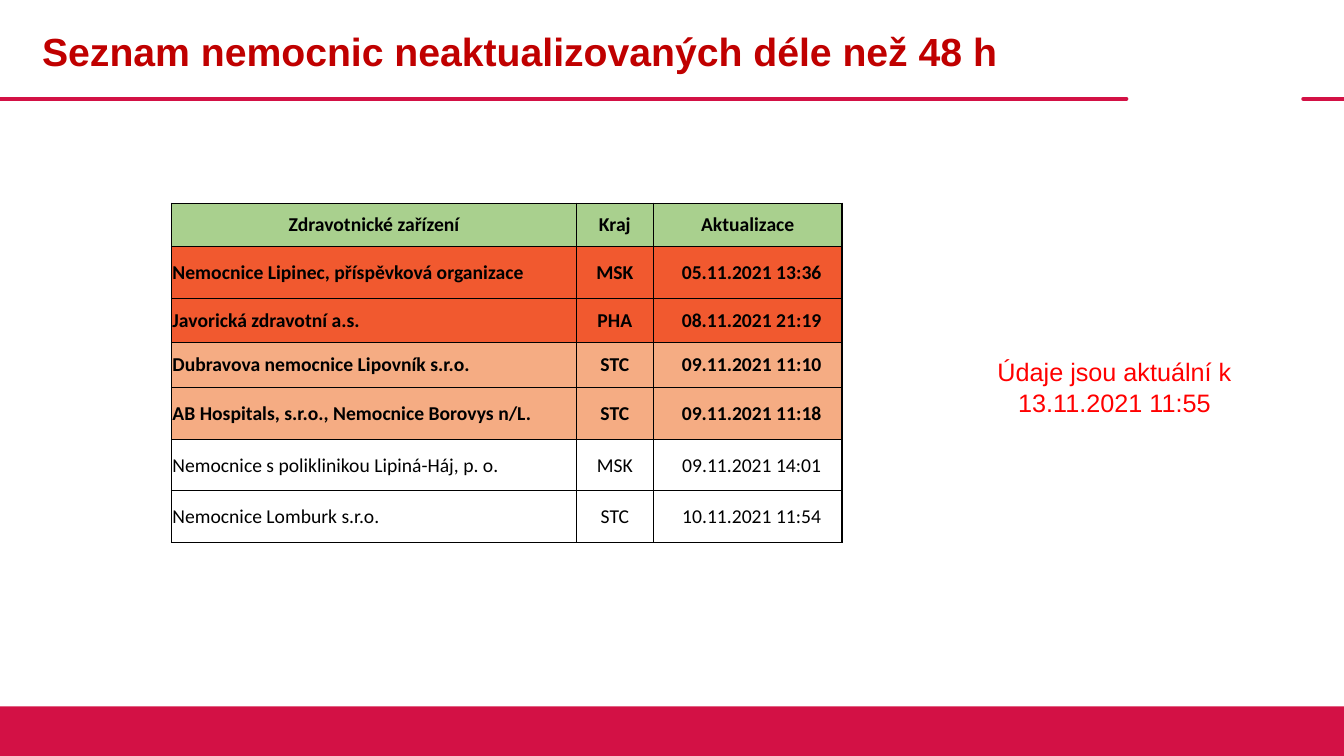
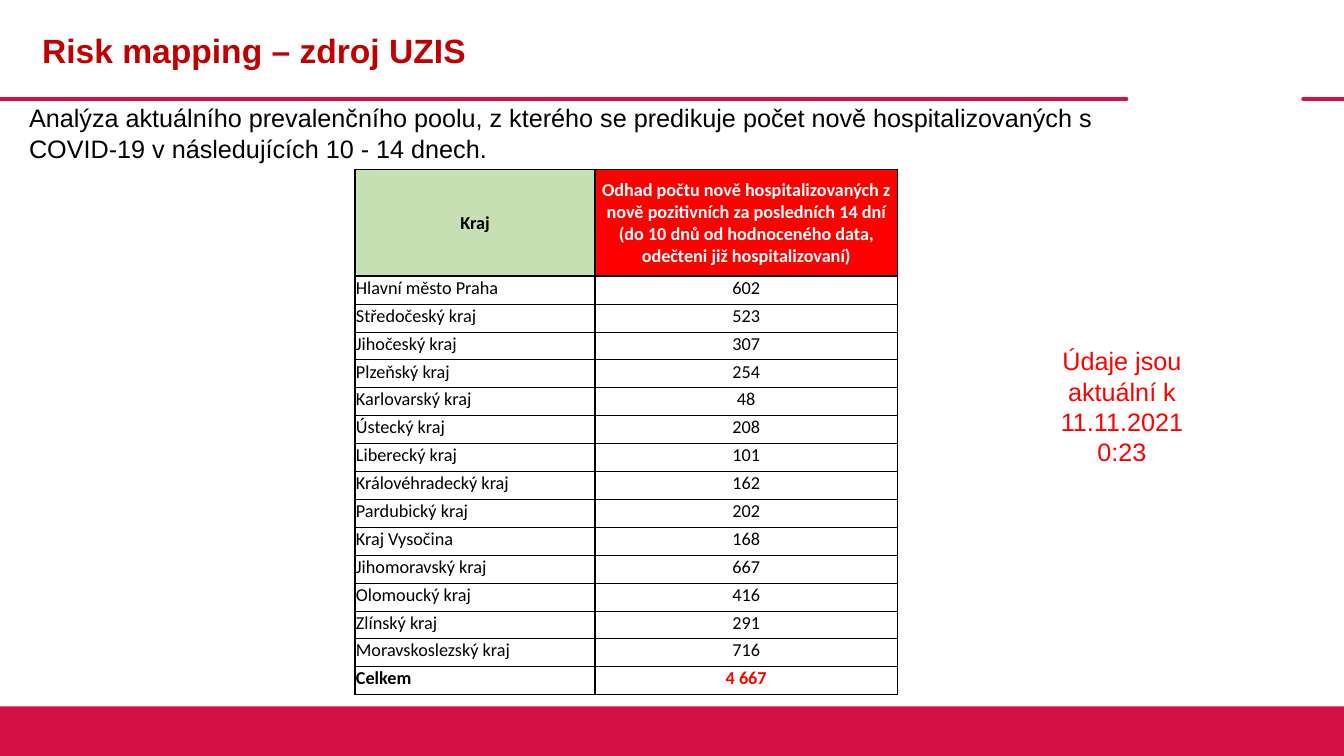
from lxml import etree
from pptx import Presentation
from pptx.dml.color import RGBColor
from pptx.enum.shapes import MSO_CONNECTOR, MSO_SHAPE
from pptx.enum.text import MSO_ANCHOR, PP_ALIGN
from pptx.oxml.ns import qn
from pptx.util import Pt

LEFT, CENTER = PP_ALIGN.LEFT, PP_ALIGN.CENTER
TOP, MIDDLE = MSO_ANCHOR.TOP, MSO_ANCHOR.MIDDLE
STRAIGHT, RECT = MSO_CONNECTOR.STRAIGHT, MSO_SHAPE.RECTANGLE

# Shared style
WIDTH, HEIGHT = 960, 540
CRIMSON, TITLE_RED, RED = "D31145", "C00000", "FF0000"
BLACK, WHITE = "000000", "FFFFFF"
RULE_Y, BAND_TOP = 70.6, 504.6
RULES = [(0, 804.5), (931, WIDTH)]
THIN, THICK = 0.5, 1


def rgb(value):
    return RGBColor.from_string(value)


class Deck:
    """Presentation style and the slide being built."""

    def __init__(self):
        self.prs = Presentation()
        self.prs.slide_width, self.prs.slide_height = Pt(WIDTH), Pt(HEIGHT)
        self.s = None

    def slide(self, title, size):
        self.s = self.prs.slides.add_slide(self.prs.slide_layouts[6])
        for start, end in RULES:
            self.rule(start, end, RULE_Y)
        self.band(BAND_TOP)
        self.text(title, (23, 8, 778, 56), size, TITLE_RED,
                  bold=True, anchor=MIDDLE)

    def rule(self, start, end, y):
        sp = self.s.shapes.add_connector(STRAIGHT, Pt(start), Pt(y), Pt(end), Pt(y))
        sp.line.color.rgb = rgb(CRIMSON)
        sp.line.width = Pt(3)
        sp._element.spPr.find(qn("a:ln")).set("cap", "rnd")
        etree.SubElement(sp._element.spPr, qn("a:effectLst"))

    def band(self, top):
        sp = self.s.shapes.add_shape(RECT, 0, Pt(top), Pt(WIDTH), Pt(HEIGHT - top))
        sp.shadow.inherit = False
        sp.fill.solid()
        sp.fill.fore_color.rgb = rgb(CRIMSON)
        sp.line.fill.background()

    def paragraph(self, tf, text, align, color, **font):
        p = tf.paragraphs[0]
        p.alignment = align
        r = p.add_run()
        r.text = text
        r.font.color.rgb = rgb(color)
        for name, value in font.items():
            setattr(r.font, name, value)

    def text(self, text, box, size=18, color=BLACK, align=LEFT,
             bold=False, anchor=TOP):
        tf = self.s.shapes.add_textbox(*map(Pt, box)).text_frame
        tf.word_wrap = True
        tf.vertical_anchor = anchor
        self.paragraph(tf, text, align, color, name="Arial", size=Pt(size), bold=bold)

    def note(self, text, box):
        self.text(text, box, color=RED, align=CENTER)

    def table(self, rows, origin, widths, heights, size, heavy, inner, margins):
        """heavy: indices of thick horizontal lines; inner: inner vertical width.

        Each row is a list of (text, format) cells; margins(row, column)
        gives left, top, right and bottom.
        """
        frame = self.s.shapes.add_table(
            len(rows), len(widths), *map(Pt, origin),
            Pt(sum(widths)), Pt(sum(heights)))
        table = frame.table
        table.first_row = table.horz_banding = False
        for column, width in zip(table.columns, widths):
            column.width = Pt(width)
        for i, (row, height) in enumerate(zip(rows, heights)):
            table.rows[i].height = Pt(height)
            for j, (text, style) in enumerate(row):
                cell = table.cell(i, j)
                self.borders(cell, {
                    "L": inner if j else THICK,
                    "R": inner if j < len(widths) - 1 else THICK,
                    "T": THICK if i in heavy else THIN,
                    "B": THICK if i + 1 in heavy else THIN})
                self.cell(cell, text, size, margins(i, j), **style)

    def cell(self, cell, text, size, margins, fill=None, color=BLACK,
             bold=False, align=CENTER, anchor=MIDDLE):
        for side, value in zip(("left", "top", "right", "bottom"), margins):
            setattr(cell, f"margin_{side}", Pt(value))
        cell.vertical_anchor = anchor
        if fill:
            cell.fill.solid()
            cell.fill.fore_color.rgb = rgb(fill)
        else:
            cell.fill.background()
        self.paragraph(cell.text_frame, text, align, color,
                       name="Calibri", size=Pt(size), bold=bold)

    def borders(self, cell, widths):
        tc_pr = cell._tc.get_or_add_tcPr()
        for side, width in widths.items():
            ln = etree.SubElement(tc_pr, qn(f"a:ln{side}"), w=str(Pt(width)))
            fill = etree.SubElement(ln, qn("a:solidFill"))
            etree.SubElement(fill, qn("a:srgbClr"), val=BLACK)


# Hospitals: name, region, last update, row colour
HOSPITALS = [
    ("Nemocnice Lipinec, příspěvková organizace", "MSK", "05.11.2021 13:36", "F1592F"),
    ("Javorická zdravotní a.s.", "PHA", "08.11.2021 21:19", "F1592F"),
    ("Dubravova nemocnice Lipovník s.r.o.", "STC", "09.11.2021 11:10", "F5AC83"),
    ("AB Hospitals, s.r.o., Nemocnice Borovys n/L.", "STC", "09.11.2021 11:18", "F5AC83"),
    ("Nemocnice s poliklinikou Lipiná-Háj, p. o.", "MSK", "09.11.2021 14:01", None),
    ("Nemocnice Lomburk s.r.o.", "STC", "10.11.2021 11:54", None),
]

# Expected new admissions by region
REGIONS = [
    ("Hlavní město Praha", "602"), ("Středočeský kraj", "523"),
    ("Jihočeský kraj", "307"), ("Plzeňský kraj", "254"),
    ("Karlovarský kraj", "48"), ("Ústecký kraj", "208"),
    ("Liberecký kraj", "101"), ("Královéhradecký kraj", "162"),
    ("Pardubický kraj", "202"), ("Kraj Vysočina", "168"),
    ("Jihomoravský kraj", "667"), ("Olomoucký kraj", "416"),
    ("Zlínský kraj", "291"), ("Moravskoslezský kraj", "716"),
]


def hospitals_slide(deck):
    deck.slide("Seznam nemocnic neaktualizovaných déle než 48 h", 28)
    deck.note("Údaje jsou aktuální k 13.11.2021 11:55", (704.2, 251.3, 183.6, 51))
    header = {"fill": "A9D08E", "bold": True}
    rows = [[(text, header) for text in ("Zdravotnické zařízení", "Kraj", "Aktualizace")]]
    for name, region, updated, fill in HOSPITALS:
        style = {"fill": fill, "bold": fill is not None}
        rows.append([(name, {**style, "align": LEFT}), (region, style), (updated, style)])
    deck.table(rows, (122.5, 145.2), (289.2, 55, 134.8),
               (30.6, 37.1, 31.8, 31.8, 37.1, 37.1, 37.1), 14,
               heavy={0}, inner=THIN,
               margins=lambda i, j: (6.5 if i and j == 2 else 0.7, 0.7, 0.7, 0))


def regions_slide(deck):
    deck.slide("Risk mapping – zdroj UZIS", 24)
    deck.note("Údaje jsou aktuální k 11.11.2021 0:23", (747.4, 243.4, 108, 94.3))
    deck.text("Analýza aktuálního prevalenčního poolu, z kterého se predikuje počet nově "
              "hospitalizovaných s COVID-19 v následujících 10 - 14 dnech.",
              (13.7, 69.8, 787, 51))
    body = {"anchor": TOP}
    total = {**body, "bold": True}
    rows = [[
        ("Kraj", {"fill": "C6E0B4", "bold": True}),
        ("Odhad počtu nově hospitalizovaných z nově pozitivních za posledních 14 dní "
         "(do 10 dnů od hodnoceného data, odečteni již hospitalizovaní)",
         {"fill": RED, "color": WHITE, "bold": True}),
    ]]
    rows += [[(name, {**body, "align": LEFT}), (count, body)] for name, count in REGIONS]
    rows.append([("Celkem", {**total, "align": LEFT}), ("4 667", {**total, "color": RED})])
    last = len(rows)
    deck.table(rows, (253.6, 120.9), (171.4, 216), [76.3] + [19.95] * (last - 1), 13,
               heavy={0, 1, last - 1, last}, inner=THICK,
               margins=lambda i, j: (0.7, 0.7, 0.7, 3.3 if i else 0))


def main():
    deck = Deck()
    hospitals_slide(deck)
    regions_slide(deck)
    deck.prs.save("out.pptx")


if __name__ == "__main__":
    main()
